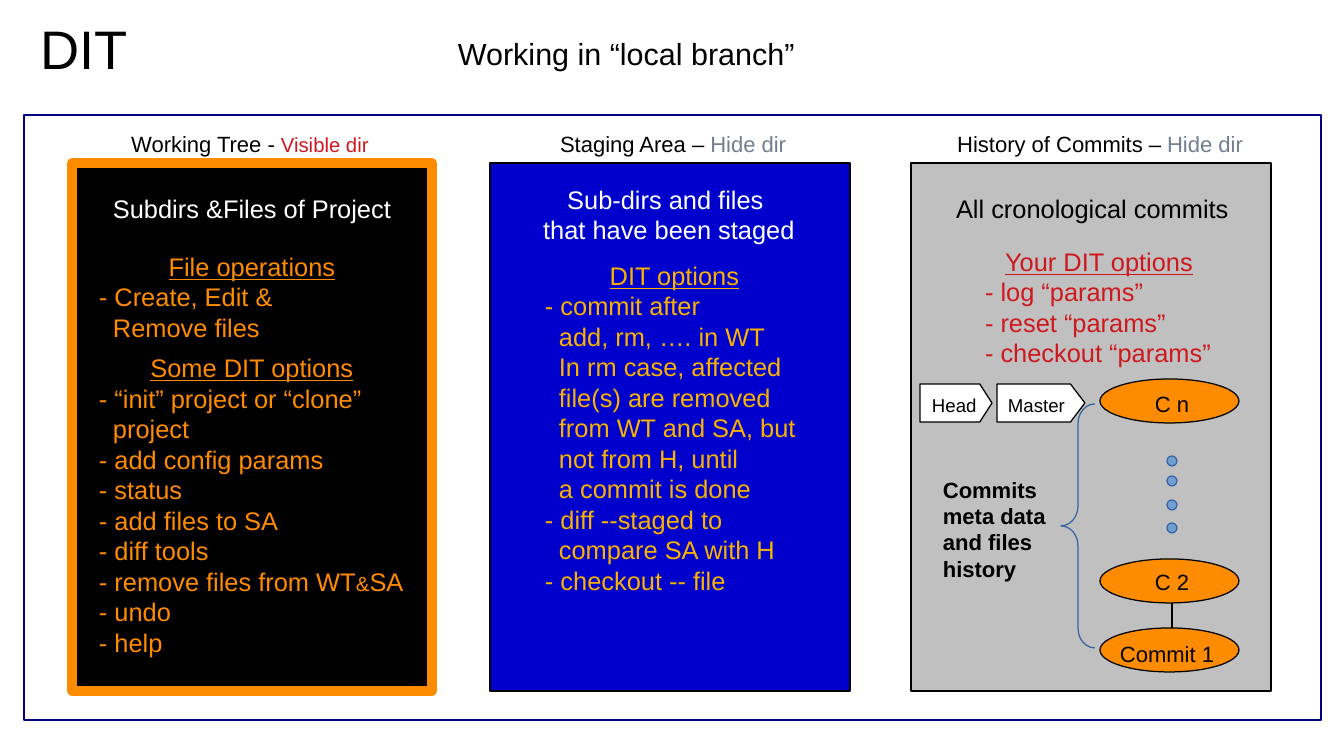
from pptx import Presentation
from pptx.dml.color import RGBColor
from pptx.enum.shapes import MSO_CONNECTOR, MSO_SHAPE
from pptx.enum.text import MSO_ANCHOR, PP_ALIGN
from pptx.oxml.xmlchemy import OxmlElement
from pptx.util import Pt

PX = 914400 / 122  # EMU in one px
THEME = dict(
    font="Arial", black="000000", white="FFFFFF", navy="000080",
    orange="FF8C00", blue="0000CD", grey="C0C0C0", red="CE181E",
    slate="708090", gold="F9B201", dot="729FCF", edge="3465A4",
    title=32, sub=18, body=15, label=13, small=12, tag=11,
)
INDENT = 14  # px, for lines that carry on a list item

deck = Presentation()
deck.slide_width, deck.slide_height = round(1344 * PX), round(756 * PX)
slide = deck.slides.add_slide(deck.slide_layouts[6])


def shape(kind, box, fill, line=THEME["black"], width=0.75):
    item = slide.shapes.add_shape(kind, *[round(n * PX) for n in box])
    item.shadow.inherit = False
    if fill:
        item.fill.solid()
        item.fill.fore_color.rgb = RGBColor.from_string(fill)
    else:
        item.fill.background()
    item.line.color.rgb = RGBColor.from_string(line)
    item.line.width = Pt(width)
    return item


def text(box, lines, size, color="black", **style):
    """A line is a list of (words, format) runs or a plain string.
    Style: align, bold, heads (underlined headings), pad."""
    item = slide.shapes.add_textbox(*[round(n * PX) for n in box])
    frame = item.text_frame
    frame.word_wrap = True
    pad = style.get("pad", (12, 6))
    for side, gap in zip(("left", "top", "right", "bottom"), pad * 2):
        setattr(frame, "margin_" + side, round(gap * PX))
    heads = style.get("heads", ())
    for i, line in enumerate(lines):
        para = frame.paragraphs[0] if i == 0 else frame.add_paragraph()
        head = line in heads
        para.alignment = PP_ALIGN.CENTER if head else style.get("align", PP_ALIGN.LEFT)
        if head and i:
            para.space_before = Pt(5.7)
        if heads and not head and line[0][0] != "-" and isinstance(line, str):
            para._p.get_or_add_pPr().set("marL", str(round(INDENT * PX)))
        for words, own in [(line, {})] if isinstance(line, str) else line:
            run = para.add_run()
            run.text = words
            look = dict(name=THEME["font"], size=Pt(THEME[own.get("size", size)]),
                        bold=style.get("bold", False), underline=head)
            for key, value in look.items():
                setattr(run.font, key, value)
            run.font.color.rgb = RGBColor.from_string(THEME[own.get("color", color)])
    return item


MID = PP_ALIGN.CENTER

# Title and subtitle
title = text((5, 5, 158, 85), ["DIT"], "title", align=MID, pad=(0, 0))
title.text_frame.vertical_anchor = MSO_ANCHOR.MIDDLE
text((446, 29, 461, 46), ["Working in “local branch”"], "sub")

# Frame and the three panels
shape(MSO_SHAPE.RECTANGLE, (24, 115, 1297, 605), THEME["white"], THEME["navy"])
for left, fill, line, width in [
    (72, "black", "orange", 5.67),
    (490, "blue", "black", 0.75),
    (911, "grey", "black", 0.75),
]:
    shape(MSO_SHAPE.RECTANGLE, (left, 163, 360, 528), THEME[fill], THEME[line], width)

# Captions above the panels
for left, width, name, note, own in [
    (100, 300, "Working Tree - ", "Visible dir", dict(color="red", size="small")),
    (520, 306, "Staging Area – ", "Hide dir", dict(color="slate")),
    (930, 340, "History of Commits – ", "Hide dir", dict(color="slate")),
]:
    text((left, 124, width, 37), [[(name, {}), (note, own)]], "label", align=MID)

# Panel headings
text((101, 187, 310, 40), ["Subdirs &Files of Project"], "body", "white")
text((514, 178, 310, 68), ["Sub-dirs and files ", "that have been staged"],
     "body", "white", align=MID)
text((941, 187, 310, 43), ["All cronological commits "], "body", align=MID)

# Option lists
text((87, 245, 330, 407), [
    "File operations", "- Create, Edit &", "Remove files",
    "Some DIT options", "- “init” project or “clone”", "project",
    "- add config params", "- status", "- add files to SA", "- diff tools",
    [("- remove files from WT", {}), ("&", dict(size="small")), ("SA", {})],
    "- undo", "- help",
], "body", "orange", heads=("File operations", "Some DIT options"))
text((533, 254, 283, 359), [
    "DIT options", "- commit after", "add, rm, …. in WT",
    "In rm case, affected", "file(s) are removed", "from WT and SA, but",
    "not from H, until", "a commit is done", "- diff --staged to",
    "compare SA with H", "- checkout -- file",
], "body", "gold", heads=("DIT options",))
text((973, 240, 252, 124), [
    "Your DIT options", "- log “params”", "- reset “params”", "- checkout “params”",
], "body", "red", heads=("Your DIT options",))

# Head and Master tags
for left, width, tip, start, name in [
    (920, 72, 0.32, 920, "Head"), (997, 88, 0.38, 996, "Master"),
]:
    tag = shape(MSO_SHAPE.PENTAGON, (left, 384, width, 38), THEME["white"])
    tag.adjustments[0] = tip
    text((start, 388, 90, 33), [name], "tag")

# Commit chain
for top, left, start, name in [
    (379, 1143, 384, "C n"), (559, 1143, 562, "C 2"), (628, 1108, 634, "Commit 1"),
]:
    shape(MSO_SHAPE.OVAL, (1100, top, 139, 44), THEME["orange"])
    text((left, start, 136, 37), [name], "label")
for top in (456, 476, 500, 523):
    shape(MSO_SHAPE.OVAL, (1167, top, 10, 10), THEME["dot"], THEME["edge"])
link = slide.shapes.add_connector(
    MSO_CONNECTOR.STRAIGHT, *[round(n * PX) for n in (1172, 603, 1172, 628)])
link.line.color.rgb = RGBColor.from_string(THEME["black"])
link.line.width = Pt(0.75)
link._element.spPr.append(OxmlElement("a:effectLst"))

# Brace with its note
brace = shape(MSO_SHAPE.LEFT_BRACE, (1061, 404, 34, 244), None, THEME["edge"])
brace.adjustments[0] = 0.58
text((931, 470, 132, 111), ["Commits", "meta data", "and files", "history"],
     "label", bold=True)

deck.save("out.pptx")
